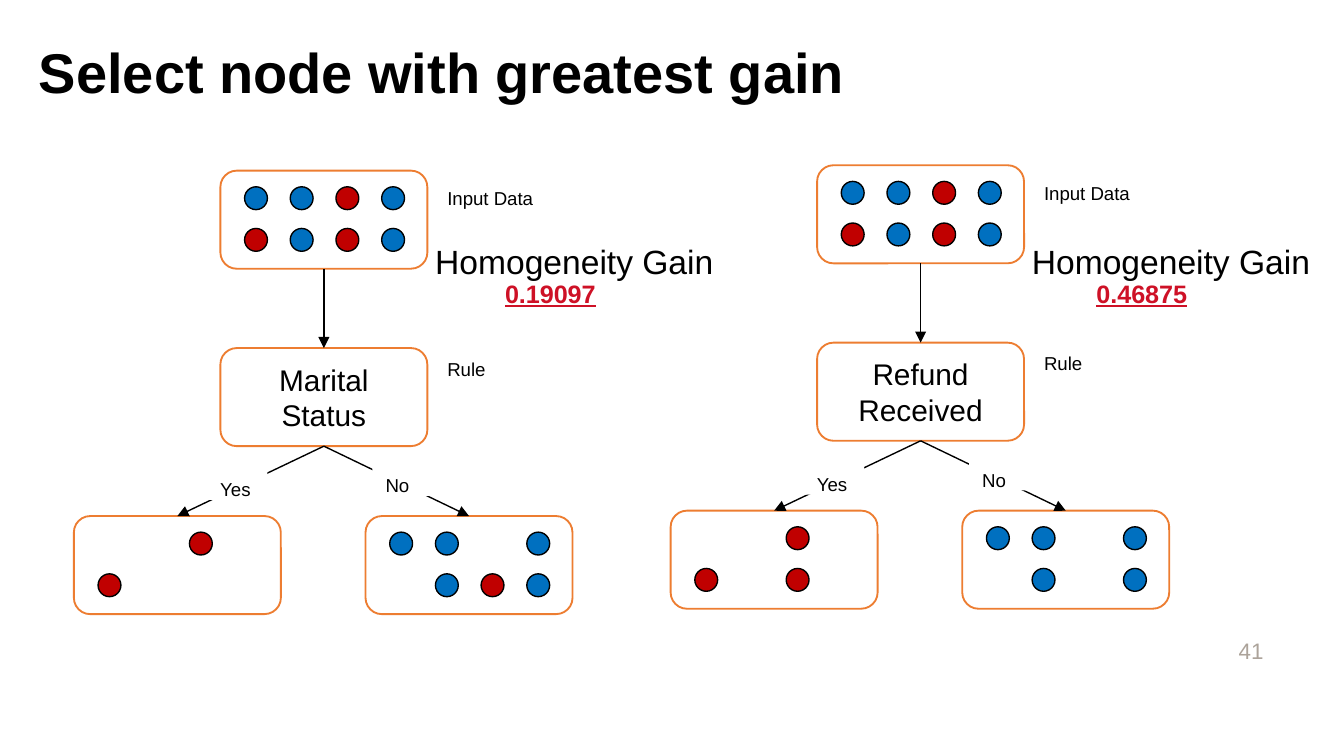
from lxml import etree
from pptx import Presentation
from pptx.dml.color import RGBColor
from pptx.enum import shapes, text
from pptx.oxml import ns
from pptx.util import Inches, Pt

DOT_COLORS = {"B": "0070C0", "R": "C00000"}
BOX_WIDTH, BOX_HEIGHT = 1.54, 0.73
DOT_SIZE = 0.17


def add_shape(kind, left, top, width, height, fill=None, line=None, line_width=1):
    shape = slide.shapes.add_shape(
        kind, Inches(left), Inches(top), Inches(width), Inches(height))
    shape.shadow.inherit = False
    for part, color in ((shape.fill, fill), (shape.line.fill, line)):
        if color:
            part.solid()
            part.fore_color.rgb = RGBColor.from_string(color)
        else:
            part.background()
    if line:
        shape.line.width = Pt(line_width)
    return shape


def write(shape, words, size, color="000000", bold=False, underline=None,
          align=text.PP_ALIGN.LEFT, anchor=text.MSO_ANCHOR.TOP):
    frame = shape.text_frame
    frame.word_wrap = True
    frame.auto_size = text.MSO_AUTO_SIZE.NONE
    frame.vertical_anchor = anchor
    frame.text = words
    paragraph = frame.paragraphs[0]
    paragraph.alignment = align
    font = paragraph.font
    font.name, font.size = "Arial", Pt(size)
    font.bold, font.underline = bold, underline
    font.color.rgb = RGBColor.from_string(color)


# Widescreen slide, 16 to 9
presentation = Presentation()
presentation.slide_width = Inches(10)
presentation.slide_height = Inches(10 * 9 / 16)
slide = presentation.slides.add_slide(presentation.slide_layouts[5])

# Title
title = slide.shapes.title
title.left, title.top = Inches(0.19), Inches(0.09)
title.width, title.height = Inches(9.81), Inches(0.94)
write(title, "Select node with greatest gain", 30, bold=True,
      anchor=text.MSO_ANCHOR.MIDDLE)
title.text_frame.paragraphs[0].line_spacing = 0.9

# Page number
page_number = slide.shapes.add_textbox(
    Inches(7.17), Inches(4.69), Inches(2.33), Inches(0.3))
write(page_number, "41", 12, "ACA39A", align=text.PP_ALIGN.RIGHT,
      anchor=text.MSO_ANCHOR.MIDDLE)

# Trees: left, top, rule, dots in the Yes and No leaves, gain and its left edge
trees = [
    (0.55, 1.27, "Marital Status", ("..R.", "R..."), ("BB.B", ".BRB"), "0.19097", 3.66),
    (4.99, 1.23, "Refund Received", ("..R.", "R.R."), ("BB.B", ".B.B"), "0.46875", 8.06),
]
for left, top, rule, yes_dots, no_dots, gain, gain_left in trees:
    # Boxes: input data, rule, Yes leaf, No leaf
    boxes = []
    for x, y, dots in ((1.09, 0, ("BBRB", "RBRB")), (1.09, 1.32, ()),
                       (0, 2.57, yes_dots), (2.17, 2.57, no_dots)):
        box = add_shape(shapes.MSO_SHAPE.ROUNDED_RECTANGLE, left + x, top + y,
                        BOX_WIDTH, BOX_HEIGHT, "FFFFFF", "ED7D31")
        boxes.append(box)
        for row, marks in enumerate(dots):
            for column, mark in enumerate(marks):
                if mark in DOT_COLORS:
                    add_shape(shapes.MSO_SHAPE.OVAL,
                              left + x + 0.18 + 0.34 * column,
                              top + y + 0.12 + 0.31 * row,
                              DOT_SIZE, DOT_SIZE, DOT_COLORS[mark], "000000", 0.75)
    input_box, rule_box, yes_box, no_box = boxes
    write(rule_box, rule, 16, align=text.PP_ALIGN.CENTER,
          anchor=text.MSO_ANCHOR.MIDDLE)

    # Arrows from the bottom of one box to the top of the next
    for start, end in ((input_box, rule_box), (rule_box, yes_box), (rule_box, no_box)):
        arrow = slide.shapes.add_connector(shapes.MSO_CONNECTOR.STRAIGHT, 0, 0, 0, 0)
        arrow.begin_connect(start, 2)
        arrow.end_connect(end, 0)
        arrow.line.width = Pt(0.75)
        arrow.line.color.rgb = RGBColor.from_string("000000")
        outline = arrow._element.spPr.find(ns.qn("a:ln"))
        etree.SubElement(outline, ns.qn("a:tailEnd"), type="triangle")
        etree.SubElement(arrow._element.spPr, ns.qn("a:effectLst"))

    # Labels
    for words, x, y, width in (("Yes", 0.99, 2.24, 0.45), ("No", 2.22, 2.21, 0.45),
                               ("Input Data", 2.68, 0.07, 1.26),
                               ("Rule", 2.68, 1.34, 1.26)):
        label = add_shape(shapes.MSO_SHAPE.RECTANGLE, left + x, top + y,
                          width, 0.21, "FFFFFF")
        write(label, words, 10)

    # Homogeneity gain
    gain_value = slide.shapes.add_textbox(
        Inches(gain_left), Inches(2.02), Inches(1.4), Inches(0.5))
    write(gain_value, gain, 13.5, "CE1126", bold=True, underline=True)
    gain_heading = slide.shapes.add_textbox(
        Inches(left + 2.59), Inches(1.74), Inches(2.7), Inches(0.4))
    write(gain_heading, "Homogeneity Gain", 18)

presentation.save("out.pptx")
